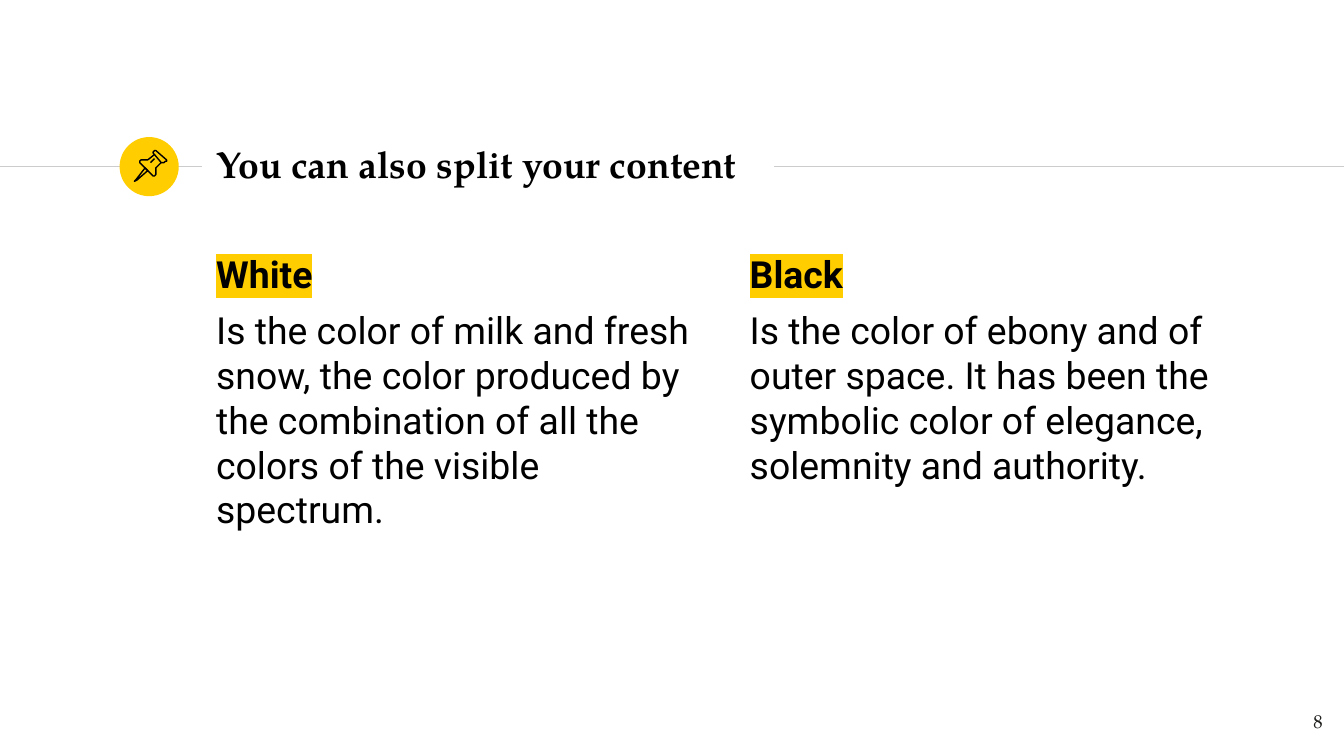
from lxml import etree
from pptx import Presentation
from pptx.dml.color import RGBColor
from pptx.enum import shapes, text
from pptx.oxml import ns
from pptx.util import Inches, Pt

COLORS = {"yellow": "FFCD00", "black": "000000", "rule": "CCCCCC", "number": "1D1D1B"}
SERIF, SANS = "TeX Gyre Pagella", "Roboto"

prs = Presentation()
prs.slide_width = Inches(10)
prs.slide_height = prs.slide_width * 9 // 16
s = prs.slides.add_slide(prs.slide_layouts[6])


def add_text(box, lines):
    sp = s.shapes.add_textbox(*[Inches(v) for v in box])
    tf = sp.text_frame
    tf.word_wrap = True
    tf.margin_left = tf.margin_right = tf.margin_top = tf.margin_bottom = Inches(0.1)
    tf.text = "\n".join(lines)
    return tf


def format_run(r, font, size, bold, color):
    r.font.name = font
    r.font.size = Pt(size)
    r.font.bold = bold
    r.font.color.rgb = RGBColor.from_string(COLORS[color])


for start, end in [(0, 1.5), (5.76, 10)]:
    line = s.shapes.add_connector(
        shapes.MSO_CONNECTOR.STRAIGHT, Inches(start), Inches(1.24), Inches(end), Inches(1.24)
    )
    line.line.color.rgb = RGBColor.from_string(COLORS["rule"])
    line.line.width = Pt(0.75)
    etree.SubElement(line._element.spPr, ns.qn("a:effectLst"))

badge = s.shapes.add_shape(
    shapes.MSO_SHAPE.OVAL, Inches(0.89), Inches(1.02), Inches(0.44), Inches(0.44)
)
badge.shadow.inherit = False
badge.fill.solid()
badge.fill.fore_color.rgb = RGBColor.from_string(COLORS["yellow"])
badge.line.fill.background()

tf = add_text((1.51, 0.98, 4.24, 0.48), ["You can also split your content"])
tf.vertical_anchor = text.MSO_ANCHOR.MIDDLE
format_run(tf.paragraphs[0].runs[0], SERIF, 20, True, "black")

columns = [
    (1.51, "White", "Is the color of milk and fresh snow, the color produced by "
                    "the combination of all the colors of the visible spectrum."),
    (5.48, "Black", "Is the color of ebony and of outer space. It has been the "
                    "symbolic color of elegance, solemnity and authority."),
]
for left, heading, body in columns:
    tf = add_text((left, 1.77, 3.75, 3.53), [heading, body])
    for p, bold in zip(tf.paragraphs, (True, False)):
        p.space_before = Pt(6)
        format_run(p.runs[0], SANS, 20, bold, "black")
    fill = tf.paragraphs[0].runs[0].font._element.find(ns.qn("a:solidFill"))
    highlight = etree.Element(ns.qn("a:highlight"))
    etree.SubElement(highlight, ns.qn("a:srgbClr"), val=COLORS["yellow"])
    fill.addnext(highlight)

pin_parts = [
    ([(108, 125), (101, 134), (100, 135), (102, 134), (110, 127)], True),
    ([(115, 115), (120, 121), (122, 121), (123, 120), (124, 120), (124, 119),
      (116, 112), (115, 112), (114, 113), (114, 114)], True),
    ([(115, 115), (110, 119), (107, 119), (105, 119), (104, 120), (104, 121),
      (114, 131), (115, 131), (116, 130), (116, 128), (116, 125), (120, 121)], False),
    ([(112, 121), (115, 118)], False),
]
for points, closed in pin_parts:
    builder = s.shapes.build_freeform(*points[0], scale=Inches(0.01))
    builder.add_line_segments(points[1:], close=closed)
    sp = builder.convert_to_shape()
    sp.shadow.inherit = False
    sp.fill.background()
    sp.line.color.rgb = RGBColor.from_string(COLORS["black"])
    sp.line.width = Pt(0.75)

tf = add_text((9.34, 5.2, 0.6, 0.43), ["8"])
tf.paragraphs[0].alignment = text.PP_ALIGN.RIGHT
format_run(tf.paragraphs[0].runs[0], SERIF, 10, False, "number")

prs.save("out.pptx")
